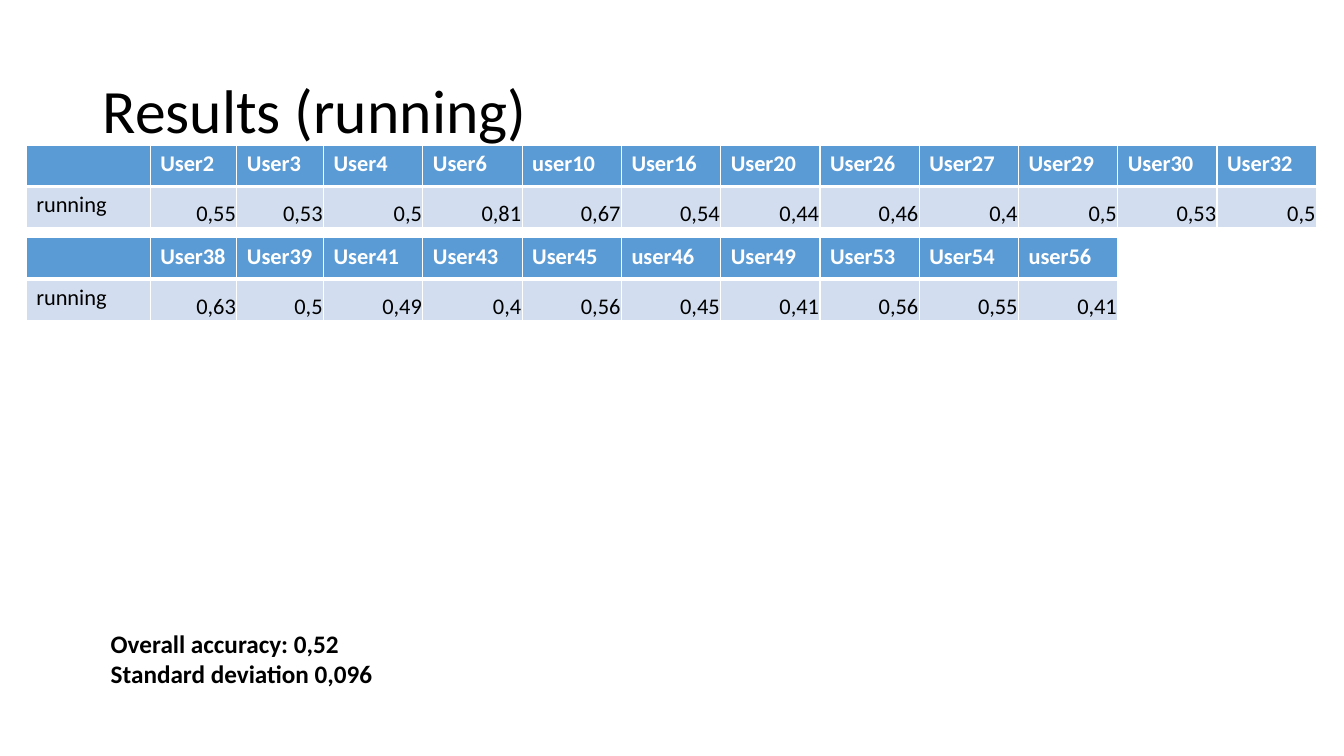
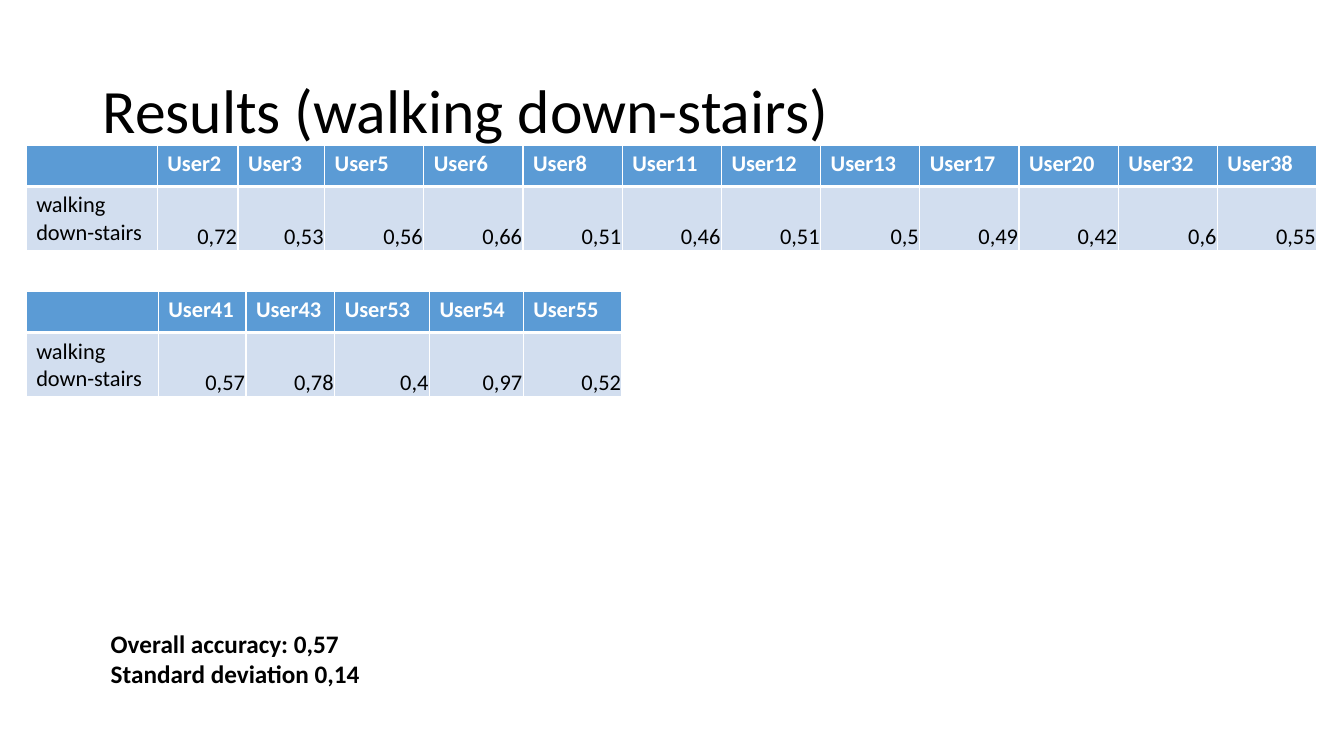
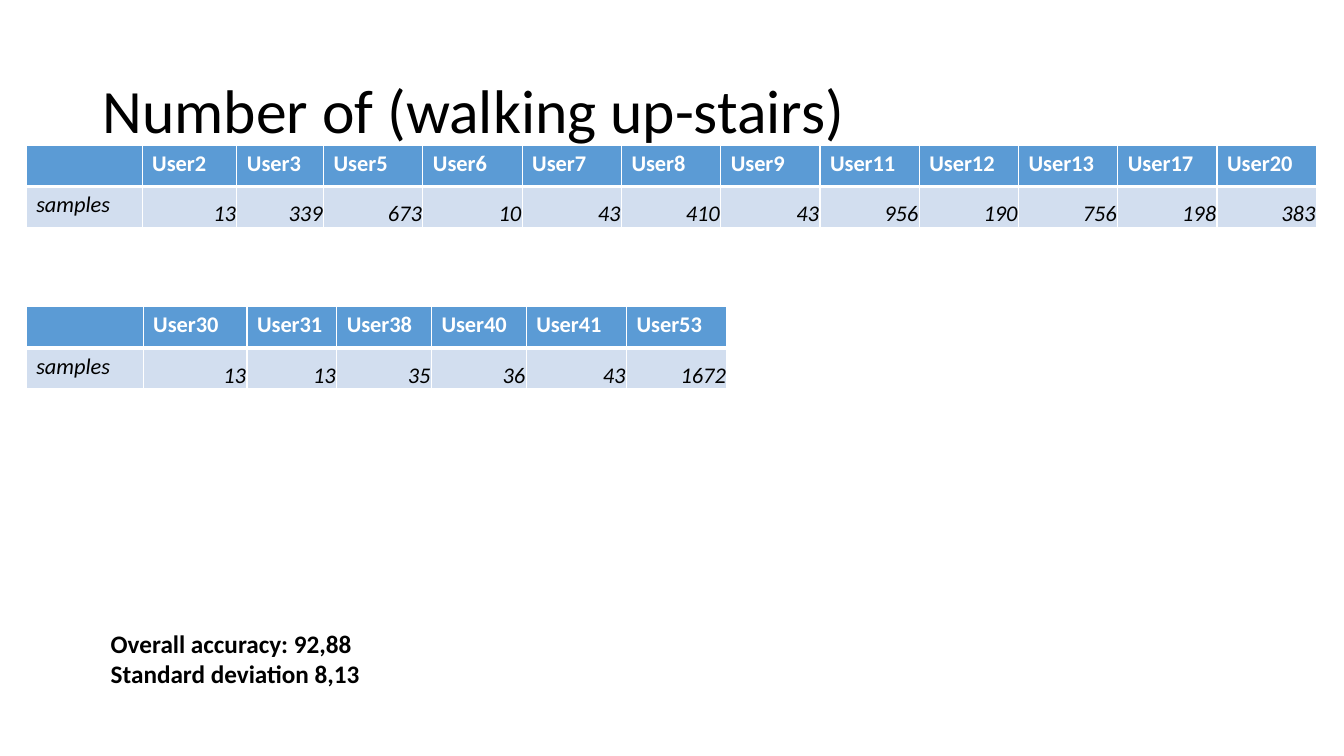
from lxml import etree
from pptx import Presentation
from pptx.dml.color import RGBColor
from pptx.enum.text import MSO_ANCHOR, PP_ALIGN
from pptx.oxml.ns import qn
from pptx.util import Inches, Pt

MIDDLE, BOTTOM, TOP = MSO_ANCHOR.MIDDLE, MSO_ANCHOR.BOTTOM, MSO_ANCHOR.TOP
LEFT, RIGHT = PP_ALIGN.LEFT, PP_ALIGN.RIGHT

WIDE, HIGH = 13.33, 7.5
FONT = "Calibri"
BLACK, WHITE, BLUE, PALE = "000000", "FFFFFF", "5B9BD5", "D2DEEF"
BOX_W, BOX_H = 11.5, 1.45
EDGE, FIRST = 0.26, 1.44
FULL, ROW, TALL = 12.8, 0.41, 0.63


def color(code):
    return RGBColor.from_string(code)


def write(frame, lines, size=16, ink=BLACK, bold=False, italic=False,
          align=LEFT, anchor=TOP, space=1.0):
    frame.word_wrap = True
    frame.vertical_anchor = anchor
    for i, line in enumerate(lines):
        para = frame.add_paragraph() if i else frame.paragraphs[0]
        para.alignment, para.line_spacing = align, space
        run = para.add_run()
        run.text = line
        font = run.font
        font.name, font.size = FONT, Pt(size)
        font.bold, font.italic = bold, italic
        font.color.rgb = color(ink)


def box(slide, left, top, lines, **form):
    area = slide.shapes.add_textbox(
        Inches(left), Inches(top), Inches(BOX_W), Inches(BOX_H))
    write(area.text_frame, lines, anchor=MIDDLE, **form)


def rule(cell, top, bottom):
    """Draw white borders; top and bottom are widths in points."""
    props = cell._tc.get_or_add_tcPr()
    sides = (("L", 1), ("R", 1), ("T", top), ("B", bottom))
    for i, (side, width) in enumerate(sides):
        line = etree.Element(qn("a:ln" + side), w=str(Pt(width)))
        fill = etree.SubElement(line, qn("a:solidFill"))
        etree.SubElement(fill, qn("a:srgbClr"), val=WHITE)
        props.insert(i, line)


def grid(slide, top, width, lead, users, label, marks, low=ROW, italic=False):
    """Add a two-row table; columns after the lead ones share the rest."""
    heads, marks = users.split(), marks.split()
    count = len(heads) + 1
    rest = count - len(lead)
    cols = lead + [(width - sum(lead)) / rest] * rest
    table = slide.shapes.add_table(
        2, count, Inches(EDGE), Inches(top),
        Inches(width), Inches(ROW + low)).table
    for row, high in zip(table.rows, (ROW, low)):
        row.height = Inches(high)
    for i, col in enumerate(cols):
        table.columns[i].width = Inches(col)
        head, body = table.cell(0, i), table.cell(1, i)
        for cell, fill in ((head, BLUE), (body, PALE)):
            cell.fill.solid()
            cell.fill.fore_color.rgb = color(fill)
        rule(head, 1, 3)
        rule(body, 3, 1)
        if i == 0:
            write(body.text_frame, [label], italic=italic)
            continue
        write(head.text_frame, [heads[i - 1]], ink=WHITE, bold=True)
        write(body.text_frame, [marks[i - 1]], italic=italic, align=RIGHT)
        body.vertical_anchor = BOTTOM
        body.margin_left = body.margin_right = body.margin_top = Inches(0.01)
        body.margin_bottom = 0


def page(deck, title, mean, spread):
    slide = deck.slides.add_slide(deck.slide_layouts[6])
    box(slide, 0.92, 0.4, [title], size=44, space=0.9)
    box(slide, 1, 5.81,
        [f"Overall accuracy: {mean}", f"Standard deviation {spread}"],
        size=18, bold=True)
    return slide


def main():
    deck = Presentation()
    deck.slide_width, deck.slide_height = Inches(WIDE), Inches(HIGH)

    run = page(deck, "Results (running)", "0,52", "0,096")
    lead = [1.23, 0.86, 0.86]
    grid(run, FIRST, FULL, lead,
         "User2 User3 User4 User6 user10 User16 "
         "User20 User26 User27 User29 User30 User32", "running",
         "0,55 0,53 0,5 0,81 0,67 0,54 0,44 0,46 0,4 0,5 0,53 0,5")
    grid(run, 2.36, 10.83, lead,
         "User38 User39 User41 User43 User45 "
         "user46 User49 User53 User54 user56", "running",
         "0,63 0,5 0,49 0,4 0,56 0,45 0,41 0,56 0,55 0,41")

    down = page(deck, "Results (walking down-stairs)", "0,57", "0,14")
    grid(down, FIRST, FULL, [1.3, 0.8, 0.86],
         "User2 User3 User5 User6 User8 User11 "
         "User12 User13 User17 User20 User32 User38", "walking down-stairs",
         "0,72 0,53 0,56 0,66 0,51 0,46 0,51 0,5 0,49 0,42 0,6 0,55", low=TALL)
    grid(down, 2.89, 5.91, [1.31, 0.87, 0.88, 0.94, 0.93],
         "User41 User43 User53 User54 User55", "walking down-stairs",
         "0,57 0,78 0,4 0,97 0,52", low=TALL)

    stairs = page(deck, "Number of (walking up-stairs)", "92,88", "8,13")
    grid(stairs, FIRST, FULL, [1.15, 0.94, 0.86],
         "User2 User3 User5 User6 User7 User8 "
         "User9 User11 User12 User13 User17 User20", "samples",
         "13 339 673 10 43 410 43 956 190 756 198 383", italic=True)
    grid(stairs, 3.04, 6.95, [1.16, 1.03, 0.89, 0.94, 0.94],
         "User30 User31 User38 User40 User41 User53", "samples",
         "13 13 35 36 43 1672", italic=True)

    deck.save("out.pptx")


if __name__ == "__main__":
    main()
